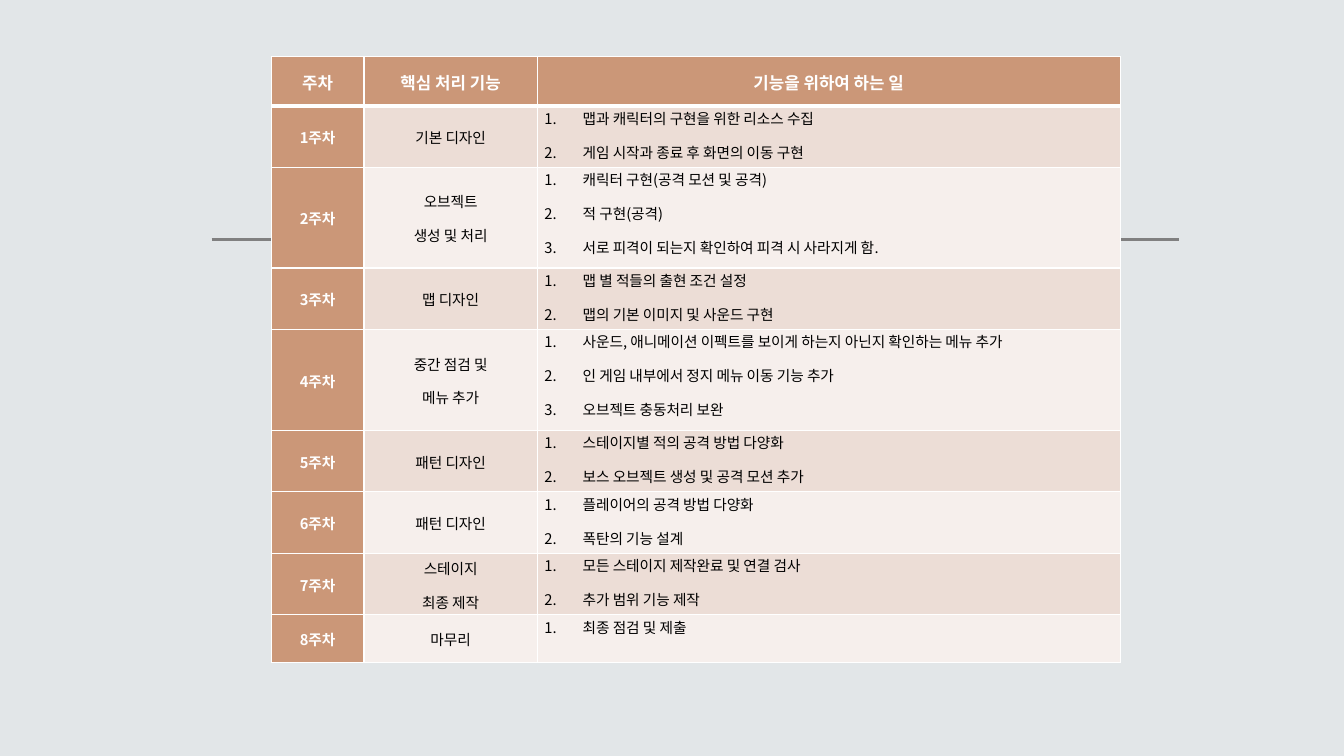
import dataclasses

import pptx
import pptx.dml.color
import pptx.enum.shapes
import pptx.enum.text
import pptx.oxml
import pptx.oxml.ns
import pptx.util
from pptx.util import Inches


@dataclasses.dataclass(frozen=True)
class Theme:
    font: str = "Noto Sans CJK JP"
    background: str = "E2E6E8"
    rule: str = "808080"
    accent: str = "CB9778"
    bands: tuple = ("ECDDD6", "F6EFEC")
    white: str = "FFFFFF"
    black: str = "000000"
    header_size: float = 12
    body_size: float = 10.5
    rule_width: float = 2
    border: float = 1
    header_border: float = 3


THEME = Theme()
HEADERS = ["주차", "핵심 처리 기능", "기능을 위하여 하는 일"]
COLUMN_WIDTHS = [0.92, 1.72, 5.78]
HEADER_HEIGHT = 0.49
LAST_HEIGHT = 0.47
HEIGHT_BY_TASKS = {1: LAST_HEIGHT, 2: 0.61, 3: 1}
WEEKS = [
    (["기본 디자인"],
     ["맵과 캐릭터의 구현을 위한 리소스 수집", "게임 시작과 종료 후 화면의 이동 구현"]),
    (["오브젝트", "생성 및 처리"],
     ["캐릭터 구현(공격 모션 및 공격)", "적 구현(공격)",
      "서로 피격이 되는지 확인하여 피격 시 사라지게 함."]),
    (["맵 디자인"],
     ["맵 별 적들의 출현 조건 설정", "맵의 기본 이미지 및 사운드 구현"]),
    (["중간 점검 및", "메뉴 추가"],
     ["사운드, 애니메이션 이펙트를 보이게 하는지 아닌지 확인하는 메뉴 추가",
      "인 게임 내부에서 정지 메뉴 이동 기능 추가", "오브젝트 충동처리 보완"]),
    (["패턴 디자인"],
     ["스테이지별 적의 공격 방법 다양화", "보스 오브젝트 생성 및 공격 모션 추가"]),
    (["패턴 디자인"],
     ["플레이어의 공격 방법 다양화", "폭탄의 기능 설계"]),
    (["스테이지", "최종 제작"],
     ["모든 스테이지 제작완료 및 연결 검사", "추가 범위 기능 제작"]),
    (["마무리"], ["최종 점검 및 제출"]),
]


def rgb(value):
    return pptx.dml.color.RGBColor.from_string(value)


def add_child(parent, tag, **attributes):
    child = pptx.oxml.parse_xml(f"<{tag} {pptx.oxml.ns.nsdecls('a')}/>")
    for name, value in attributes.items():
        child.set(name, value)
    parent.append(child)
    return child


def add_rule(s, left, right, y):
    line = s.shapes.add_connector(
        pptx.enum.shapes.MSO_CONNECTOR.STRAIGHT,
        Inches(left), Inches(y), Inches(right), Inches(y))
    line.line.color.rgb = rgb(THEME.rule)
    line.line.width = pptx.util.Pt(THEME.rule_width)
    add_child(line._element.spPr, "a:effectLst")


def add_text(p, text, size, color, bold):
    r = p.add_run()
    r.text = text
    r.font.size = pptx.util.Pt(size)
    r.font.bold = bold
    r.font.color.rgb = rgb(color)
    r.font.name = THEME.font
    add_child(r._r.get_or_add_rPr(), "a:ea", typeface=THEME.font)


def set_borders(cell, top, bottom):
    tcPr = cell._tc.get_or_add_tcPr()
    widths = {"L": THEME.border, "R": THEME.border, "T": top, "B": bottom}
    for side, width in widths.items():
        line = add_child(tcPr, f"a:ln{side}", w=str(pptx.util.Pt(width)))
        add_child(add_child(line, "a:solidFill"), "a:srgbClr", val=THEME.white)


def fill_cell(cell, lines, fill, color=THEME.black, size=THEME.body_size,
              bold=False, numbered=False, top=THEME.border, bottom=THEME.border):
    set_borders(cell, top, bottom)
    cell.fill.solid()
    cell.fill.fore_color.rgb = rgb(fill)
    cell.margin_left = cell.margin_right = Inches(0.07)
    cell.margin_top = cell.margin_bottom = 0
    anchor = pptx.enum.text.MSO_ANCHOR
    cell.vertical_anchor = anchor.TOP if numbered else anchor.MIDDLE
    tf = cell.text_frame
    for i, text in enumerate(lines):
        p = tf.add_paragraph() if i else tf.paragraphs[0]
        p.line_spacing = 1.07
        p.space_after = pptx.util.Pt(8)
        if numbered:
            pPr = p._p.get_or_add_pPr()
            pPr.set("marL", str(Inches(0.38)))
            pPr.set("indent", str(-Inches(0.38)))
            add_child(pPr, "a:buAutoNum", type="arabicPeriod")
        else:
            p.alignment = pptx.enum.text.PP_ALIGN.CENTER
        add_text(p, text, size, color, bold)


def add_schedule(s, left, top):
    heights = [HEADER_HEIGHT] + [HEIGHT_BY_TASKS[len(tasks)] for _, tasks in WEEKS]
    table = s.shapes.add_table(
        len(heights), len(COLUMN_WIDTHS), Inches(left), Inches(top),
        Inches(sum(COLUMN_WIDTHS)), Inches(sum(heights))).table
    for column, width in zip(table.columns, COLUMN_WIDTHS):
        column.width = Inches(width)
    for row, height in zip(table.rows, heights):
        row.height = Inches(height)
    for column, title in enumerate(HEADERS):
        fill_cell(table.cell(0, column), [title], THEME.accent, THEME.white,
                  THEME.header_size, bold=True, bottom=THEME.header_border)
    for week, (feature, tasks) in enumerate(WEEKS, start=1):
        band = THEME.bands[(week - 1) % 2]
        edge = THEME.header_border if week == 1 else THEME.border
        fill_cell(table.cell(week, 0), [f"{week}주차"], THEME.accent,
                  THEME.white, bold=True, top=edge)
        fill_cell(table.cell(week, 1), feature, band, top=edge)
        fill_cell(table.cell(week, 2), tasks, band, numbered=True, top=edge)


def main():
    prs = pptx.Presentation()
    prs.slide_width = Inches(13.33)
    prs.slide_height = Inches(7.5)
    s = prs.slides.add_slide(prs.slide_layouts[6])
    s.background.fill.solid()
    s.background.fill.fore_color.rgb = rgb(THEME.background)
    add_rule(s, 2.1, 11.69, 2.38)
    add_schedule(s, 2.69, 0.56)
    prs.save("out.pptx")


if __name__ == "__main__":
    main()
